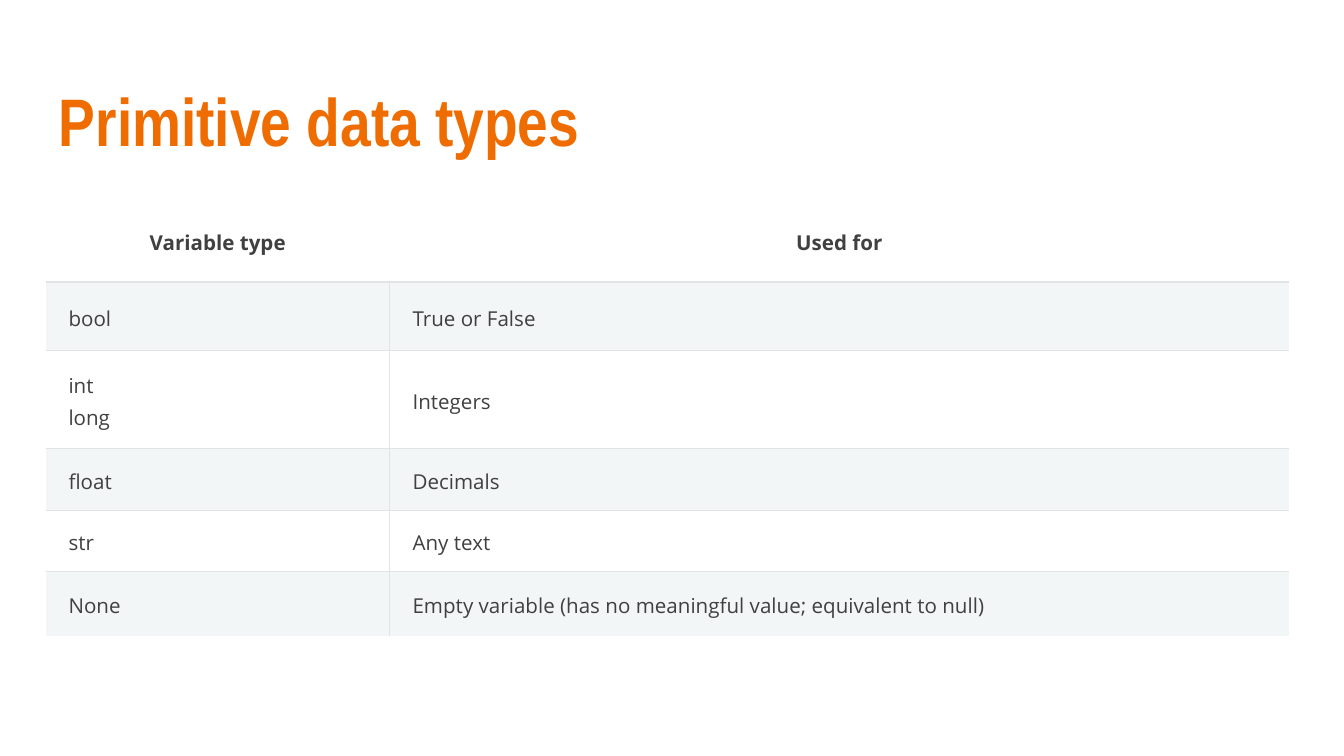
from lxml import etree
from pptx import Presentation
from pptx.dml.color import RGBColor
from pptx.enum.text import MSO_ANCHOR, PP_ALIGN
from pptx.oxml.ns import qn
from pptx.util import Inches, Pt

CENTER, LEFT = PP_ALIGN.CENTER, PP_ALIGN.LEFT
TOP, MIDDLE = MSO_ANCHOR.TOP, MSO_ANCHOR.MIDDLE

ORANGE = RGBColor(0xEF, 0x6C, 0x00)
INK = RGBColor(0x40, 0x40, 0x40)
RULE = RGBColor(0xE1, 0xE4, 0xE5)
BAND = RGBColor(0xF3, 0xF6, 0xF6)

PAGE_WIDTH = 10
PAGE_HEIGHT = PAGE_WIDTH * 9 / 16
COLUMN_WIDTHS = (2.56, 6.69)
ROWS = (
    (0.51, "Variable type", "Used for"),
    (0.51, "bool", "True or False"),
    (0.73, "int\nlong", "Integers"),
    (0.46, "float", "Decimals"),
    (0.45, "str", "Any text"),
    (0.48, "None", "Empty variable (has no meaningful value; equivalent to null)"),
)


def style_font(font, name, size, color, bold):
    """Set the typeface, size, colour and weight of a font."""
    font.name = name
    font.size = Pt(size)
    font.color.rgb = color
    font.bold = bold


def add_title(page, left, top, width, height, text):
    """Place the slide title in the given box."""
    box = page.shapes.add_textbox(*map(Inches, (left, top, width, height)))
    frame = box.text_frame
    frame.word_wrap = True
    frame.margin_left = frame.margin_right = Inches(0.1)
    frame.margin_top = frame.margin_bottom = Inches(0.1)
    para = frame.paragraphs[0]
    para.text = text
    style_font(para.font, "Arial Narrow", 36, ORANGE, True)


def set_borders(cell, **widths):
    """Draw the sides given a width in points and hide the others."""
    properties = cell._tc.get_or_add_tcPr()
    for side in "LRTB":
        line = etree.SubElement(properties, qn(f"a:ln{side}"))
        width = widths.get(side)
        if width:
            line.set("w", str(Pt(width)))
            fill = etree.SubElement(line, qn("a:solidFill"))
            etree.SubElement(fill, qn("a:srgbClr")).set("val", str(RULE))
        else:
            etree.SubElement(line, qn("a:noFill"))


def fill_cell(cell, text, header, banded):
    """Write and style the text and background of one cell."""
    if banded:
        cell.fill.solid()
        cell.fill.fore_color.rgb = BAND
    else:
        cell.fill.background()
    cell.margin_left = cell.margin_right = Inches(0.17)
    cell.margin_top = cell.margin_bottom = Inches(0.08)
    cell.vertical_anchor = TOP if header else MIDDLE
    cell.text_frame.text = text
    for para in cell.text_frame.paragraphs:
        para.alignment = CENTER if header else LEFT
        para.line_spacing = 1.15
        style_font(para.font, "Open Sans", 11, INK, header)


def add_type_table(page, left, top):
    """Place the table of data types with its corner at left, top."""
    width, height = sum(COLUMN_WIDTHS), sum(row[0] for row in ROWS)
    table = page.shapes.add_table(
        len(ROWS), len(COLUMN_WIDTHS), *map(Inches, (left, top, width, height))
    ).table
    table.first_row = table.horz_banding = False
    for column, column_width in zip(table.columns, COLUMN_WIDTHS):
        column.width = Inches(column_width)

    rules = [0] + [1.5] + [0.75] * (len(ROWS) - 2) + [0]
    for r, (row_height, *texts) in enumerate(ROWS):
        table.rows[r].height = Inches(row_height)
        header = r == 0
        divider = 0 if header else 0.75
        for c, text in enumerate(texts):
            cell = table.cell(r, c)
            inner_side = "R" if c == 0 else "L"
            set_borders(cell, T=rules[r], B=rules[r + 1], **{inner_side: divider})
            fill_cell(cell, text, header, banded=r % 2 == 1)


def main():
    """Build the deck and save it."""
    deck = Presentation()
    deck.slide_width, deck.slide_height = Inches(PAGE_WIDTH), Inches(PAGE_HEIGHT)
    page = deck.slides.add_slide(deck.slide_layouts[6])
    add_title(page, 0.34, 0.49, 9.32, 0.77, "Primitive data types")
    add_type_table(page, 0.34, 1.59)
    deck.save("out.pptx")


if __name__ == "__main__":
    main()
